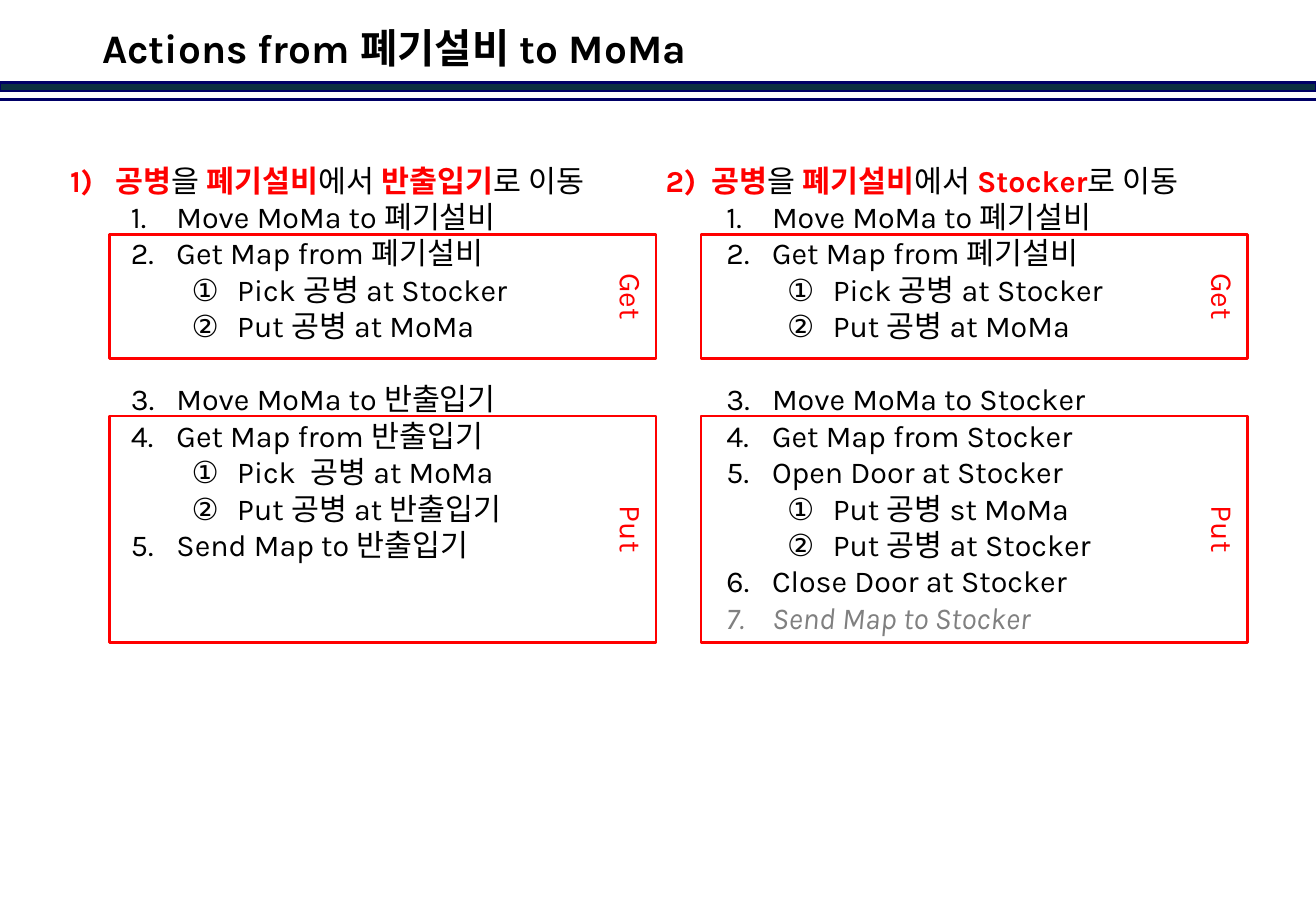
from dataclasses import dataclass
from typing import Any

from lxml import etree
from pptx import Presentation
from pptx.dml.color import RGBColor
from pptx.enum import shapes as s, text as t
from pptx.oxml import ns
from pptx.util import Pt

RED = RGBColor(0xFF, 0x00, 0x00)
BLACK = RGBColor(0x00, 0x00, 0x00)
GRAY = RGBColor(0x80, 0x80, 0x80)
NAVY = RGBColor(0x00, 0x00, 0x66)
TEAL = RGBColor(0x0B, 0x30, 0x41)
FACE = "Karla"
WIDE = 780
MARKS = ("arabicParenR", "arabicPeriod", "circleNumDbPlain")
GAP = 21.6

PLAIN = {"name": FACE, "size": Pt(18), "bold": False}
HOT = PLAIN | {"bold": True}
FAINT = PLAIN | {"italic": True}
TITLE = PLAIN | {"size": Pt(24), "bold": True}


@dataclass(frozen=True)
class Step:
    text: str
    level: int = 1
    before: float = 0
    faint: bool = False


@dataclass(frozen=True)
class Plan:
    left: float
    edge: float
    start: int
    head: tuple[str, ...]
    steps: tuple[Step, ...]


@dataclass(frozen=True)
class Band:
    label: str
    top: float
    high: float


GET = (
    Step("Move MoMa to 폐기설비"),
    Step("Get Map from 폐기설비"),
    Step("Pick 공병 at Stocker", 2),
    Step("Put 공병 at MoMa", 2),
)
PLANS = (
    Plan(34.5, 65, 1, ("공병", "을 ", "폐기설비", "에서 ", "반출입기", "로 이동"), GET + (
        Step("Move MoMa to 반출입기", before=GAP),
        Step("Get Map from 반출입기"),
        Step("Pick  공병 at MoMa", 2),
        Step("Put 공병 at 반출입기", 2),
        Step("Send Map to 반출입기"),
    )),
    Plan(387.5, 415.5, 2, ("공병", "을 ", "폐기설비", "에서 ", "Stocker", "로 이동"), GET + (
        Step("Move MoMa to Stocker", before=GAP),
        Step("Get Map from Stocker"),
        Step("Open Door at Stocker"),
        Step("Put 공병 st MoMa", 2),
        Step("Put 공병 at Stocker", 2),
        Step("Close Door at Stocker"),
        Step("Send Map to Stocker", faint=True),
    )),
)
BANDS = (Band("Get", 139, 73.5), Band("Put", 246.5, 134.5))


def apply(item: Any, form: dict[str, Any]) -> None:
    for key, value in form.items():
        setattr(item, key, value)


def add_run(para: Any, words: str, form: dict[str, Any], hue: RGBColor) -> None:
    run = para.add_run()
    run.text = words
    apply(run.font, form)
    run.font.color.rgb = hue
    east = etree.SubElement(run.font._element, ns.qn("a:ea"))
    east.set("typeface", FACE)


def add_mark(para: Any, level: int, start: int = 1) -> None:
    para.level = level
    props = para._p.get_or_add_pPr()
    props.set("marL", str(Pt(27 + 36 * level)))
    props.set("indent", str(Pt(-27)))
    mark = etree.SubElement(props, ns.qn("a:buAutoNum"))
    mark.set("type", MARKS[level])
    if start > 1:
        mark.set("startAt", str(start))


def add_box(slide: Any, left: float, top: float, wide: float, high: float) -> Any:
    box = slide.shapes.add_textbox(Pt(left), Pt(top), Pt(wide), Pt(high))
    box.text_frame.word_wrap = True
    return box.text_frame


def add_rect(slide: Any, left: float, top: float, wide: float, high: float,
             edge: RGBColor) -> Any:
    rect = slide.shapes.add_shape(
        s.MSO_SHAPE.RECTANGLE, Pt(left), Pt(top), Pt(wide), Pt(high))
    rect.shadow.inherit = False
    rect.fill.background()
    rect.line.color.rgb = edge
    rect.line.width = Pt(1.5)
    return rect


def add_top(slide: Any) -> None:
    bar = add_rect(slide, 0, 49, WIDE, 5, NAVY)
    bar.fill.solid()
    bar.fill.fore_color.rgb = TEAL
    rule = slide.shapes.add_connector(
        s.MSO_CONNECTOR.STRAIGHT, Pt(0), Pt(59), Pt(WIDE), Pt(59))
    rule.line.color.rgb = NAVY
    rule.line.width = Pt(1.5)
    etree.SubElement(rule._element.spPr, ns.qn("a:effectLst"))
    frame = add_box(slide, 53.5, 11, 480, 38)
    frame.vertical_anchor = t.MSO_ANCHOR.MIDDLE
    para = frame.paragraphs[0]
    para.line_spacing = 0.9
    add_run(para, "Actions from 폐기설비 to MoMa", TITLE, BLACK)


def add_plan(slide: Any, plan: Plan) -> None:
    frame = add_box(slide, plan.left, 81.5, 345, 300)
    head = frame.paragraphs[0]
    head.line_spacing = 1.5
    add_mark(head, 0, plan.start)
    for spot, words in enumerate(plan.head):
        form, hue = (PLAIN, BLACK) if spot % 2 else (HOT, RED)
        add_run(head, words, form, hue)
    for step in plan.steps:
        para = frame.add_paragraph()
        para.space_before = Pt(step.before)
        add_mark(para, step.level)
        form, hue = (FAINT, GRAY) if step.faint else (PLAIN, BLACK)
        add_run(para, step.text, form, hue)


def add_band(slide: Any, left: float, band: Band) -> None:
    rect = add_rect(slide, left, band.top, 324, band.high, RED)
    frame = rect.text_frame
    apply(frame, {"word_wrap": False, "vertical_anchor": t.MSO_ANCHOR.TOP})
    frame._txBody.bodyPr.set("vert", "vert")
    para = frame.paragraphs[0]
    para.alignment = t.PP_ALIGN.CENTER
    add_run(para, band.label, PLAIN, RED)


def main() -> None:
    deck = Presentation()
    apply(deck, {"slide_width": Pt(WIDE), "slide_height": Pt(540)})
    slide = deck.slides.add_slide(deck.slide_layouts[6])
    add_top(slide)
    for plan in PLANS:
        add_plan(slide, plan)
    for band in BANDS:
        for plan in PLANS:
            add_band(slide, plan.edge, band)
    deck.save("out.pptx")


if __name__ == "__main__":
    main()
